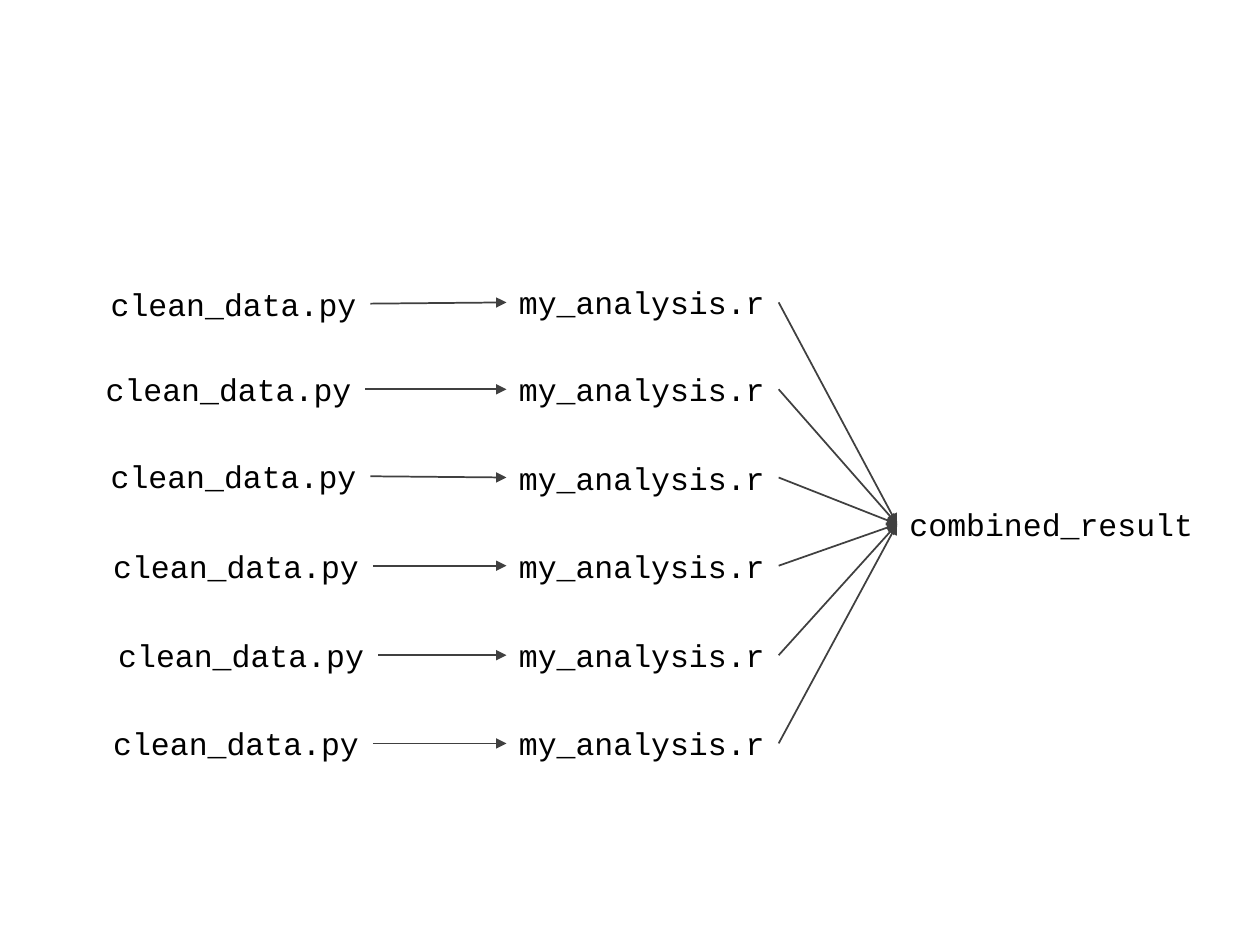
from dataclasses import dataclass

from pptx import Presentation
from pptx.dml.color import RGBColor
from pptx.enum.shapes import MSO_CONNECTOR
from pptx.enum.text import MSO_AUTO_SIZE
from pptx.oxml.ns import qn
from pptx.shapes.autoshape import Shape
from pptx.slide import Slide
from pptx.util import Inches, Pt
from lxml.etree import SubElement

BLACK = RGBColor(0x00, 0x00, 0x00)
DARK_GRAY = RGBColor(0x40, 0x40, 0x40)
FONT = "Courier New"
STEP_HEIGHT = 0.4
SCRIPT_WIDTH = 2.16
RESULT_WIDTH = 2.46
ANALYSIS_LEFT = 4.02
RIGHT_SIDE, LEFT_SIDE = 3, 1


@dataclass(frozen=True)
class Pipeline:
    clean_left: float
    clean_top: float
    analysis_top: float


PIPELINES = [
    Pipeline(0.78, 2.21, 2.2),
    Pipeline(0.74, 2.89, 2.89),
    Pipeline(0.78, 3.58, 3.59),
    Pipeline(0.8, 4.29, 4.29),
    Pipeline(0.84, 5, 5),
    Pipeline(0.8, 5.7, 5.7),
]


def add_step(slide: Slide, name: str, left: float, top: float, width: float) -> Shape:
    step = slide.shapes.add_textbox(
        Inches(left), Inches(top), Inches(width), Inches(STEP_HEIGHT)
    )
    frame = step.text_frame
    frame.word_wrap = False
    frame.auto_size = MSO_AUTO_SIZE.SHAPE_TO_FIT_TEXT
    frame.text = name
    font = frame.paragraphs[0].runs[0].font
    font.name = FONT
    font.size = Pt(18)
    font.color.rgb = BLACK
    return step


def add_arrow(slide: Slide, source: Shape, target: Shape) -> None:
    arrow = slide.shapes.add_connector(MSO_CONNECTOR.STRAIGHT, 0, 0, 0, 0)
    arrow.begin_connect(source, RIGHT_SIDE)
    arrow.end_connect(target, LEFT_SIDE)
    arrow.line.color.rgb = DARK_GRAY
    arrow.line.width = Pt(1)
    SubElement(arrow.line._get_or_add_ln(), qn("a:tailEnd"), type="triangle")
    SubElement(arrow._element.spPr, qn("a:effectLst"))


def main() -> None:
    presentation = Presentation()
    presentation.slide_width = Inches(10)
    presentation.slide_height = Inches(7.5)
    slide = presentation.slides.add_slide(presentation.slide_layouts[6])

    result = add_step(slide, "combined_result", 7.12, 3.96, RESULT_WIDTH)
    for pipeline in PIPELINES:
        clean = add_step(
            slide, "clean_data.py", pipeline.clean_left, pipeline.clean_top, SCRIPT_WIDTH
        )
        analysis = add_step(
            slide, "my_analysis.r", ANALYSIS_LEFT, pipeline.analysis_top, SCRIPT_WIDTH
        )
        add_arrow(slide, clean, analysis)
        add_arrow(slide, analysis, result)

    presentation.save("out.pptx")


if __name__ == "__main__":
    main()
